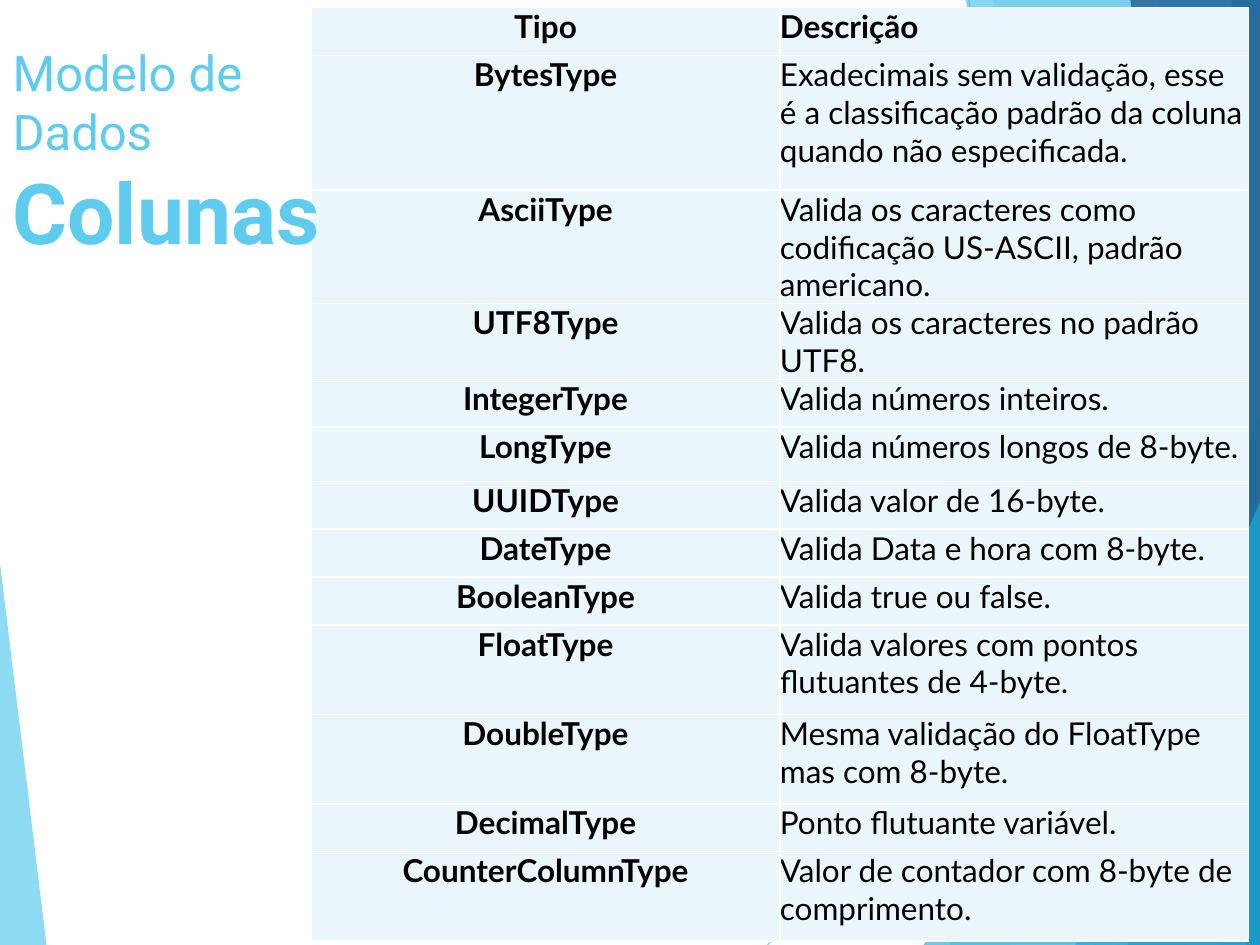
"""Build the slide that lists the column data types."""
from typing import NamedTuple

from lxml import etree
from pptx import Presentation
from pptx.dml.color import RGBColor
from pptx.enum.shapes import MSO_CONNECTOR
from pptx.enum.text import MSO_ANCHOR, MSO_AUTO_SIZE, PP_ALIGN
from pptx.oxml.ns import qn
from pptx.util import Inches, Pt

STRAIGHT = MSO_CONNECTOR.STRAIGHT
TOP = MSO_ANCHOR.TOP
NO_FIT = MSO_AUTO_SIZE.NONE
LEFT, CENTER = PP_ALIGN.LEFT, PP_ALIGN.CENTER

SKY = RGBColor(0x5F, 0xCB, 0xEF)
CYAN = RGBColor(0x17, 0xB0, 0xE4)
BLUE = RGBColor(0x2E, 0x83, 0xC3)
NAVY = RGBColor(0x22, 0x62, 0x92)
PALE = RGBColor(0xEA, 0xF6, 0xFC)
BLACK = RGBColor(0, 0, 0)
WHITE = RGBColor(0xFF, 0xFF, 0xFF)


class Ray(NamedTuple):
    """A thin straight line of the background."""
    start: tuple
    end: tuple


class Facet(NamedTuple):
    """A translucent polygon of the background."""
    color: RGBColor
    opacity: int
    points: tuple


class TypeRow(NamedTuple):
    """A table row with its height in inches."""
    name: str
    description: str
    height: float = 0.38


RAYS = (Ray((7.69, 0), (8.69, 7.5)), Ray((6.09, 7.5), (10, 4.03)))
FACETS = (
    Facet(SKY, 70, ((-0.01, 4.39), (0.37, 7.51), (-0.01, 7.5))),
    Facet(SKY, 36, ((9.2, 0), (7.54, 7.5), (10, 7.49), (10, -0.01))),
    Facet(SKY, 20, ((7.88, -0.01), (8.86, 7.5), (10, 7.5), (10, -0.01))),
    Facet(CYAN, 66, ((7.33, 7.5), (10, 3.33), (10, 7.5))),
    Facet(CYAN, 50, ((7.66, -0.01), (9.69, 7.5), (10, 7.49), (10, -0.01))),
    Facet(BLUE, 70, ((9.78, -0.01), (8.95, 7.5), (10, 7.5), (10, -0.01))),
    Facet(NAVY, 80, ((8.97, -0.01), (9.89, 7.5), (10.02, 7.5), (10, -0.01))),
    Facet(CYAN, 66, ((8.53, 7.51), (10.02, 3.93), (10.02, 7.5))),
)
ROWS = (
    TypeRow("Tipo", "Descrição"),
    TypeRow("BytesType", "Exadecimais sem validação, esse é a classificação "
            "padrão da coluna quando não especificada.", 1.07),
    TypeRow("AsciiType", "Valida os caracteres como codificação US-ASCII, "
            "padrão americano.", 0.77),
    TypeRow("UTF8Type", "Valida os caracteres no padrão UTF8.", 0.46),
    TypeRow("IntegerType", "Valida números inteiros."),
    TypeRow("LongType", "Valida números longos de 8-byte.", 0.43),
    TypeRow("UUIDType", "Valida valor de 16-byte."),
    TypeRow("DateType", "Valida Data e hora com 8-byte."),
    TypeRow("BooleanType", "Valida true ou false."),
    TypeRow("FloatType", "Valida valores com pontos flutuantes de 4-byte.", 0.71),
    TypeRow("DoubleType", "Mesma validação do FloatType mas com 8-byte.", 0.71),
    TypeRow("DecimalType", "Ponto flutuante variável."),
    TypeRow("CounterColumnType", "Valor de contador com 8-byte de comprimento.", 0.71),
)
COLUMN_WIDTH = 3.72
TABLE_LEFT, TABLE_TOP = 2.47, 0.06
TITLE_BOX = {"left": Inches(0), "top": Inches(0.29),
             "width": Inches(2.82), "height": Inches(1.44)}
TITLE_FRAME = {"word_wrap": True, "auto_size": NO_FIT, "vertical_anchor": TOP}
CELL_FORMAT = {"margin_left": 0, "margin_right": 0, "margin_top": 0,
               "margin_bottom": 0, "vertical_anchor": TOP}


def set_values(target, values: dict) -> None:
    """Set every attribute named in the format values."""
    for name, value in values.items():
        setattr(target, name, value)


def set_opacity(element, percent: int) -> None:
    """Give the first solid colour inside an element its opacity."""
    color = next(element.iter(qn("a:srgbClr")))
    etree.SubElement(color, qn("a:alpha"), val=str(percent * 1000))


def style_span(span, size: int, name: str, color: RGBColor, bold: bool) -> None:
    """Format one run of text."""
    set_values(span.font, {"size": Pt(size), "name": name, "bold": bold})
    span.font.color.rgb = color


def draw_ray(slide, ray: Ray) -> None:
    """Draw a background line."""
    points = [Inches(value) for value in ray.start + ray.end]
    line = slide.shapes.add_connector(STRAIGHT, *points)
    line.line.color.rgb = SKY
    line.line.width = Pt(0.75)
    properties = line.element.spPr
    set_opacity(properties, 70)
    etree.SubElement(properties, qn("a:effectLst"))


def draw_facet(slide, facet: Facet) -> None:
    """Draw a background polygon."""
    first, *others = [(Inches(x), Inches(y)) for x, y in facet.points]
    builder = slide.shapes.build_freeform(*first)
    builder.add_line_segments(others, close=True)
    shape = builder.convert_to_shape()
    shape.shadow.inherit = False
    shape.fill.solid()
    shape.fill.fore_color.rgb = facet.color
    set_opacity(shape.element.spPr, facet.opacity)
    shape.line.fill.background()


def draw_borders(cell) -> None:
    """Outline a cell with thin white borders."""
    properties = cell._tc.get_or_add_tcPr()
    for position, side in enumerate(("a:lnL", "a:lnR", "a:lnT", "a:lnB")):
        border = etree.Element(qn(side), w=str(Pt(1)))
        fill = etree.SubElement(border, qn("a:solidFill"))
        etree.SubElement(fill, qn("a:srgbClr"), val=str(WHITE))
        properties.insert(position, border)


def fill_cell(cell, text: str, alignment, bold: bool) -> None:
    """Write and format one table cell."""
    set_values(cell, CELL_FORMAT)
    cell.fill.solid()
    cell.fill.fore_color.rgb = PALE
    para = cell.text_frame.paragraphs[0]
    para.alignment = alignment
    span = para.add_run()
    span.text = text
    style_span(span, 18, "Lato", BLACK, bold)
    draw_borders(cell)


def draw_table(slide) -> None:
    """Draw the table of types and descriptions."""
    height = sum(row.height for row in ROWS)
    frame = slide.shapes.add_table(
        len(ROWS), 2, Inches(TABLE_LEFT), Inches(TABLE_TOP),
        Inches(2 * COLUMN_WIDTH), Inches(height))
    table = frame.table
    set_values(table, {"first_row": False, "horz_banding": False})
    for column in table.columns:
        column.width = Inches(COLUMN_WIDTH)
    for index, row in enumerate(ROWS):
        table.rows[index].height = Inches(row.height)
        fill_cell(table.cell(index, 0), row.name, CENTER, True)
        fill_cell(table.cell(index, 1), row.description, LEFT, index == 0)


def draw_title(slide) -> None:
    """Place the two-part title in front of the table."""
    title = slide.shapes.title
    set_values(title, TITLE_BOX)
    set_values(title.text_frame, TITLE_FRAME)
    para = title.text_frame.paragraphs[0]
    para.alignment = LEFT
    topic = para.add_run()
    topic.text = "Modelo de Dados"
    style_span(topic, 28, "Roboto", SKY, False)
    para.add_line_break()
    heading = para.add_run()
    heading.text = "Colunas"
    style_span(heading, 48, "Roboto", SKY, True)
    slide.shapes.element.append(title.element)


def main() -> None:
    """Build and save the deck."""
    deck = Presentation()
    set_values(deck, {"slide_width": Inches(10), "slide_height": Inches(7.5)})
    page = deck.slides.add_slide(deck.slide_layouts[5])
    for ray in RAYS:
        draw_ray(page, ray)
    for facet in FACETS:
        draw_facet(page, facet)
    draw_table(page)
    draw_title(page)
    deck.save("out.pptx")


main()
